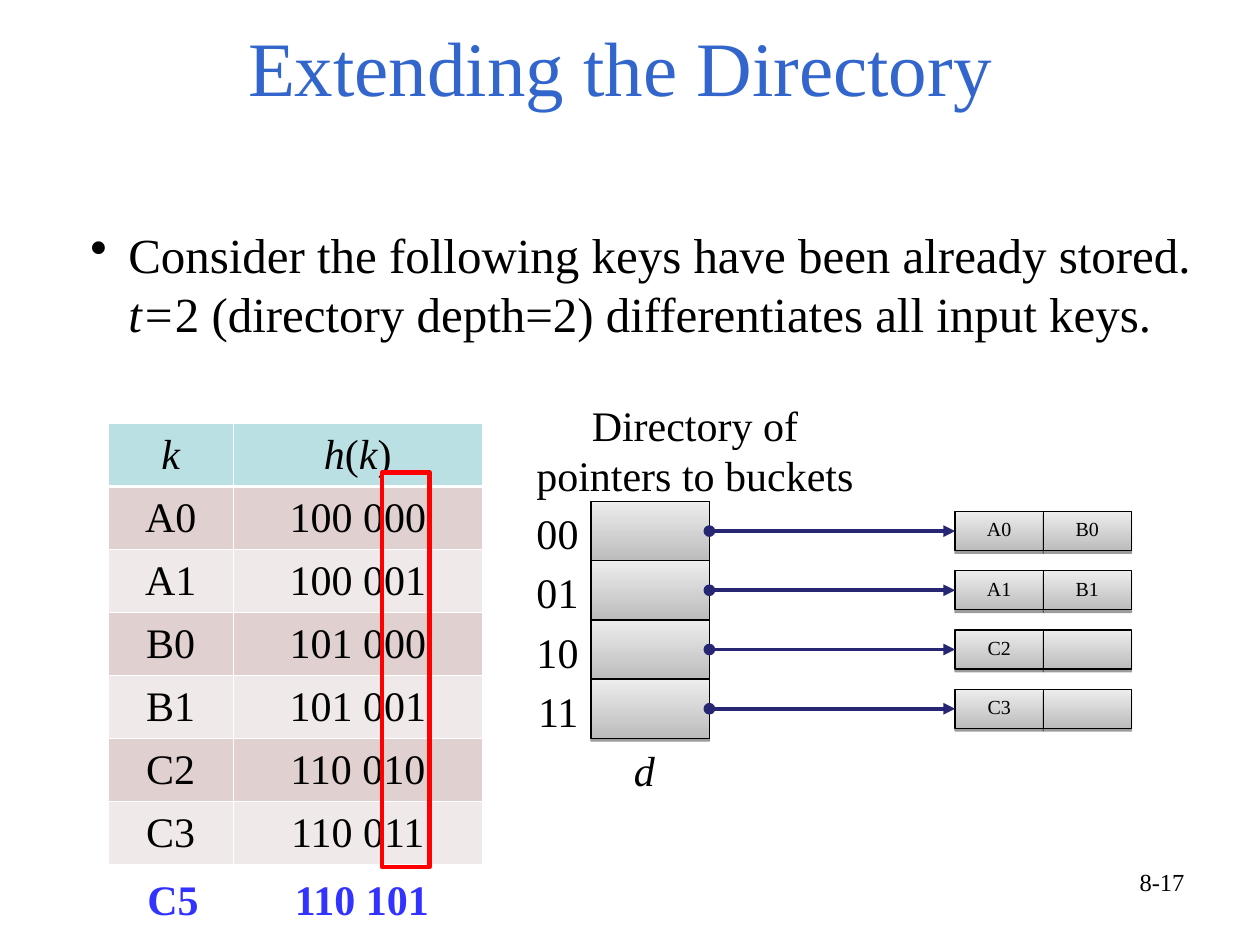
from typing import Any, NamedTuple

from lxml.etree import SubElement
from pptx import Presentation
from pptx.dml.color import RGBColor
from pptx.enum.shapes import MSO_CONNECTOR as Connector, MSO_SHAPE as Shape
from pptx.enum.text import MSO_ANCHOR as Anchor, PP_ALIGN as Align
from pptx.oxml.ns import qn
from pptx.util import Inches, Pt


class Box(NamedTuple):
    left: float
    top: float
    width: float
    height: float

    def lengths(self) -> list[int]:
        return [Inches(value) for value in self]


class Piece(NamedTuple):
    text: str
    italic: bool = False


class Entry(NamedTuple):
    address: str
    keys: tuple[str, str]


FONT = "Times New Roman"
BLACK, WHITE = "000000", "FFFFFF"
HEADER, ODD, EVEN = "BBE0E3", "E0D0CF", "F0E9E9"
HASHES = [
    ("A0", "100 000"), ("A1", "100 001"), ("B0", "101 000"),
    ("B1", "101 001"), ("C2", "110 010"), ("C3", "110 011"),
]
DIRECTORY = [
    Entry("00", ("A0", "B0")), Entry("01", ("A1", "B1")),
    Entry("10", ("C2", "")), Entry("11", ("C3", "")),
]
DIRECTORY_LEFT, DIRECTORY_TOP, ENTRY_WIDTH, ENTRY_HEIGHT = 4.69, 3.98, 0.94, 0.47
BUCKET_LEFT, SLOT_WIDTH, SLOT_HEIGHT = 7.58, 0.7, 0.31


def color(value: str) -> RGBColor:
    return RGBColor.from_string(value)


def apply(target: Any, values: dict[str, Any]) -> None:
    for name, value in values.items():
        setattr(target, name, value)


def write(paragraph, pieces: list[Piece], size: float, ink: str = BLACK,
          align: Align = Align.CENTER, bold: bool = False) -> None:
    paragraph.alignment = align
    for piece in pieces:
        run = paragraph.add_run()
        run.text = piece.text
        apply(run.font, {"name": FONT, "size": Pt(size), "bold": bold, "italic": piece.italic})
        run.font.color.rgb = color(ink)


def add_text(slide, box: Box, pieces: list[Piece], size: float, ink: str = BLACK,
             align: Align = Align.CENTER, bold: bool = False, **frame_values: Any):
    frame = slide.shapes.add_textbox(*box.lengths()).text_frame
    apply(frame, {"word_wrap": True, **frame_values})
    write(frame.paragraphs[0], pieces, size, ink, align, bold)
    return frame.paragraphs[0]


def add_bullet(paragraph) -> None:
    properties = paragraph._p.get_or_add_pPr()
    apply_indent = {"marL": str(Inches(0.3)), "indent": str(Inches(-0.3))}
    for name, value in apply_indent.items():
        properties.set(name, value)
    bullet_color = SubElement(properties, qn("a:buClr"))
    SubElement(bullet_color, qn("a:srgbClr"), val=BLACK)
    SubElement(properties, qn("a:buChar"), char="•")


def add_tab(paragraph, position: float) -> None:
    tabs = SubElement(paragraph._p.get_or_add_pPr(), qn("a:tabLst"))
    SubElement(tabs, qn("a:tab"), pos=str(Inches(position)), algn="l")


def add_cell_box(slide, box: Box, key: str = ""):
    cell = slide.shapes.add_shape(Shape.RECTANGLE, *box.lengths())
    cell.fill.gradient()
    cell.fill.gradient_angle = 90
    for stop, shade in zip(cell.fill.gradient_stops, ("BCBCBC", "EDEDED")):
        stop.color.rgb = color(shade)
    cell.line.color.rgb = color(BLACK)
    cell.line.width = Pt(0.75)
    cell.shadow.inherit = False
    effects = cell._element.spPr.find(qn("a:effectLst"))
    shadow = SubElement(effects, qn("a:outerShdw"), blurRad="0", dist=str(Pt(1.6)),
                        dir="5400000", rotWithShape="0")
    shade = SubElement(shadow, qn("a:srgbClr"), val=BLACK)
    SubElement(shade, qn("a:alpha"), val="38000")
    if key:
        cell.text_frame.vertical_anchor = Anchor.MIDDLE
        paragraph = cell.text_frame.paragraphs[0]
        paragraph.line_spacing = 0.8
        write(paragraph, [Piece(key)], 11.4)
    return cell


def add_pointer(slide, entry, bucket) -> None:
    pointer = slide.shapes.add_connector(Connector.STRAIGHT, 0, 0, 0, 0)
    pointer.begin_connect(entry, 3)
    pointer.end_connect(bucket, 1)
    pointer.line.color.rgb = color("262673")
    pointer.line.width = Pt(2.25)
    properties = pointer._element.spPr
    outline = properties.find(qn("a:ln"))
    SubElement(outline, qn("a:headEnd"), type="oval")
    SubElement(outline, qn("a:tailEnd"), type="triangle")
    SubElement(properties, qn("a:effectLst"))


def add_borders(cell, header_side: str) -> None:
    properties = cell._tc.get_or_add_tcPr()
    for side in ("lnL", "lnR", "lnT", "lnB"):
        width = Pt(1.47 if side == header_side else 0.45)
        border = SubElement(properties, qn(f"a:{side}"), w=str(width))
        fill = SubElement(border, qn("a:solidFill"))
        SubElement(fill, qn("a:srgbClr"), val=WHITE)


def add_hash_table(slide) -> None:
    header = [[Piece("k", True)],
              [Piece("h", True), Piece("("), Piece("k", True), Piece(")")]]
    rows = [header] + [[[Piece(text)] for text in pair] for pair in HASHES]
    box = Box(0.86, 3.36, 2.97, 0.5 * len(rows))
    table = slide.shapes.add_table(len(rows), 2, *box.lengths()).table
    apply(table, {"first_row": False, "horz_banding": False})
    for column, width in zip(table.columns, (0.99, 1.98)):
        column.width = Inches(width)
    for row, contents in enumerate(rows):
        shade = HEADER if row == 0 else ODD if row % 2 else EVEN
        header_side = {0: "lnB", 1: "lnT"}.get(row, "")
        for column, pieces in enumerate(contents):
            cell = table.cell(row, column)
            cell.vertical_anchor = Anchor.MIDDLE
            add_borders(cell, header_side)
            cell.fill.solid()
            cell.fill.fore_color.rgb = color(shade)
            write(cell.text_frame.paragraphs[0], pieces, 24)


def add_suffix_frame(slide) -> None:
    suffix = slide.shapes.add_shape(Shape.RECTANGLE, *Box(3.03, 3.75, 0.38, 3.13).lengths())
    suffix.fill.background()
    suffix.line.color.rgb = color("FF0000")
    suffix.line.width = Pt(2.5)
    suffix.shadow.inherit = False


def add_directory(slide) -> None:
    add_text(slide, Box(4.14, 3.12, 2.75, 0.9), [Piece("Directory of pointers to buckets")], 24)
    for index, (address, keys) in enumerate(DIRECTORY):
        top = DIRECTORY_TOP + index * ENTRY_HEIGHT
        slot_top = top + (ENTRY_HEIGHT - SLOT_HEIGHT) / 2
        entry = add_cell_box(slide, Box(DIRECTORY_LEFT, top, ENTRY_WIDTH, ENTRY_HEIGHT))
        slots = [
            add_cell_box(slide, Box(BUCKET_LEFT + place * SLOT_WIDTH, slot_top,
                                    SLOT_WIDTH, SLOT_HEIGHT), key)
            for place, key in enumerate(keys)
        ]
        add_text(slide, Box(3.83, top, 0.86, 0.5), [Piece(address)], 24, align=Align.RIGHT)
        add_pointer(slide, entry, slots[0])
    add_text(slide, Box(4.45, 5.86, 1.33, 0.5), [Piece("d", True)], 24)


def main() -> None:
    deck = Presentation()
    apply(deck, {"slide_width": Inches(10), "slide_height": Inches(7.5)})
    slide = deck.slides.add_slide(deck.slide_layouts[6])

    add_text(slide, Box(0.5, 0.3, 9, 0.69), [Piece("Extending the Directory")], 44, "3366CC",
             vertical_anchor=Anchor.BOTTOM, margin_bottom=Inches(0.1),
             margin_right=Inches(0.25))
    statement = [
        Piece("Consider the following keys have been already stored. "),
        Piece("t=", True),
        Piece("2 (directory depth=2) differentiates all input keys."),
    ]
    add_bullet(add_text(slide, Box(0.62, 1.73, 9, 1.42), statement, 28, align=Align.LEFT))
    add_hash_table(slide)
    add_suffix_frame(slide)
    add_directory(slide)
    new_key = add_text(slide, Box(0.98, 6.88, 2.84, 0.5), [Piece("C5\t110 101")], 24, "3333FF",
                       Align.LEFT, True, margin_left=Inches(0.19))
    add_tab(new_key, 1.17)
    add_text(slide, Box(7.17, 6.83, 2.33, 0.52), [Piece("8-17")], 14, align=Align.RIGHT)
    deck.save("out.pptx")


if __name__ == "__main__":
    main()
